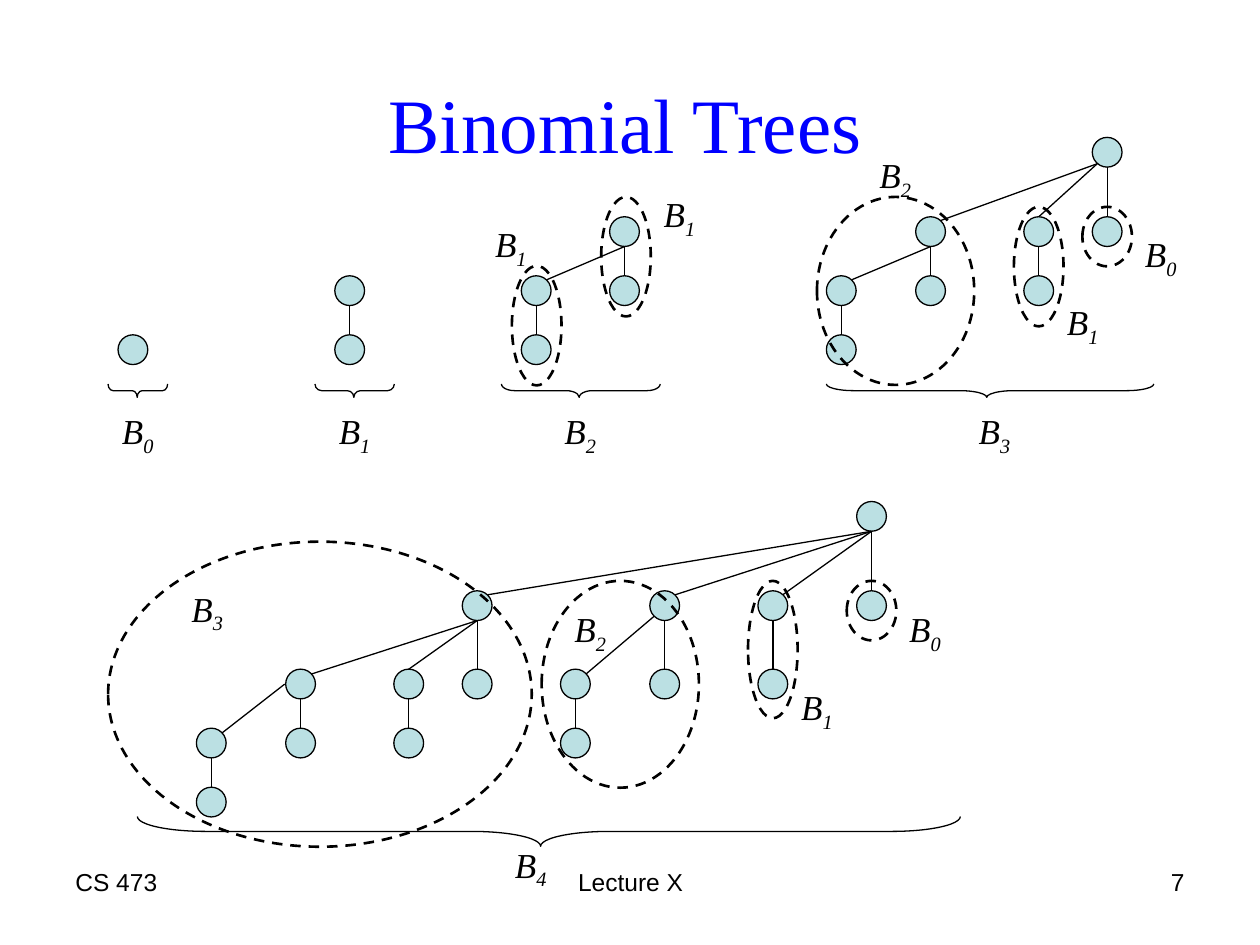
from typing import NamedTuple, Optional

from lxml.etree import SubElement
from pptx import Presentation
from pptx.dml.color import RGBColor
from pptx.enum.dml import MSO_LINE_DASH_STYLE as Dash
from pptx.enum.shapes import MSO_CONNECTOR as Connector, MSO_SHAPE as Shape
from pptx.enum.text import MSO_ANCHOR as Anchor, PP_ALIGN as Align
from pptx.oxml.ns import qn
from pptx.util import Cm, Pt

BLACK, BLUE, NODE_FILL = "000000", "0000FF", "BBE0E3"
SERIF, SANS = "Times New Roman", "Arial"
RADIUS = 0.3


# All lengths are in centimetres
class Column(NamedTuple):
    """A node, with the child straight below it if there is one."""
    x: float
    top: float
    bottom: Optional[float] = None


class Branch(NamedTuple):
    x1: float
    y1: float
    x2: float
    y2: float


class Subtree(NamedTuple):
    left: float
    top: float
    width: float
    height: float


class Brace(NamedTuple):
    left: float
    top: float
    width: float
    depth: float = 0.27


class Label(NamedTuple):
    order: int
    left: float
    top: float


class Footer(NamedTuple):
    text: str
    left: float
    width: float
    align: Align


FOOTERS = [
    Footer("CS 473", 1.27, 5.92, Align.LEFT),
    Footer("Lecture X", 8.69, 8.05, Align.CENTER),
    Footer("7", 18.21, 5.92, Align.RIGHT),
]
COLUMNS = [
    # B0, B1, B2
    Column(2.68, 7.05),
    Column(7.05, 5.86, 7.05),
    Column(10.81, 5.86, 7.05), Column(12.59, 4.67, 5.86),
    # B3
    Column(16.96, 5.86, 7.05), Column(18.76, 4.67, 5.86),
    Column(20.94, 4.67, 5.86), Column(22.32, 3.07, 4.67),
    # B4
    Column(4.26, 14.98, 16.17), Column(6.06, 13.79, 14.98),
    Column(8.24, 13.79, 14.98), Column(9.62, 12.21, 13.79),
    Column(11.6, 13.79, 14.98), Column(13.4, 12.21, 13.79),
    Column(15.58, 12.21, 13.79), Column(17.57, 10.41, 12.21),
]
BRANCHES = [
    # B2, B3
    Branch(11.02, 5.64, 12.59, 4.97),
    Branch(17.17, 5.64, 18.76, 4.97),
    Branch(18.95, 4.45, 22.12, 3.3),
    Branch(20.94, 4.37, 22.12, 3.3),
    # B4
    Branch(4.47, 14.78, 5.74, 13.79),
    Branch(6.27, 13.59, 9.62, 12.51),
    Branch(8.24, 13.49, 9.62, 12.51),
    Branch(11.81, 13.59, 13.19, 12.42),
    Branch(17.57, 10.71, 15.78, 11.99),
    Branch(17.57, 10.71, 13.61, 11.99),
    Branch(17.57, 10.71, 9.83, 11.99),
]
SUBTREES = [
    Subtree(12.12, 3.97, 1, 2.41), Subtree(10.32, 5.36, 1, 2.41),
    Subtree(16.47, 3.97, 3.17, 3.79), Subtree(20.44, 4.17, 1, 2.41),
    Subtree(21.82, 4.17, 1, 1.2),
    Subtree(2.18, 10.92, 8.54, 6.15), Subtree(10.92, 11.71, 3.17, 4.17),
    Subtree(15.08, 11.71, 1, 2.77), Subtree(17.07, 11.71, 1, 1.2),
]
BRACES = [
    Brace(2.18, 7.74, 1.2), Brace(6.35, 7.74, 1.6), Brace(10.11, 7.74, 3.2),
    Brace(16.66, 7.74, 6.6), Brace(2.77, 16.46, 16.59, 0.6),
]
LABELS = [
    # Names under the braces
    Label(0, 2.21, 8.13), Label(1, 6.58, 8.13), Label(2, 11.13, 8.13),
    Label(3, 19.48, 8.13), Label(4, 10.13, 16.87),
    # Names of the subtrees
    Label(1, 9.73, 4.37), Label(1, 13.13, 3.76),
    Label(2, 17.48, 2.97), Label(1, 21.26, 5.94), Label(0, 22.83, 4.57),
    Label(3, 3.61, 11.71), Label(2, 11.33, 12.12),
    Label(1, 15.9, 13.69), Label(0, 18.08, 12.12),
]


def color(hex_string: str) -> RGBColor:
    return RGBColor.from_string(hex_string)


def set_font(font, name: str, size: float, hex_string: str = BLACK) -> None:
    font.name, font.size = name, Pt(size)
    font.color.rgb = color(hex_string)


def add_outline(page, kind: Shape, left: float, top: float, width: float,
                height: float, weight: float = 0.75, fill: str = ""):
    shape = page.shapes.add_shape(kind, Cm(left), Cm(top), Cm(width), Cm(height))
    shape.shadow.inherit = False
    if fill:
        shape.fill.solid()
        shape.fill.fore_color.rgb = color(fill)
    else:
        shape.fill.background()
    shape.line.color.rgb = color(BLACK)
    shape.line.width = Pt(weight)
    return shape


def add_line(page, branch: Branch) -> None:
    line = page.shapes.add_connector(Connector.STRAIGHT, *map(Cm, branch))
    line.line.color.rgb = color(BLACK)
    line.line.width = Pt(0.75)
    SubElement(line._element.spPr, qn("a:effectLst"))


def add_column(page, column: Column) -> None:
    for y in column[1:]:
        if y is not None:
            add_outline(page, Shape.OVAL, column.x - RADIUS, y - RADIUS,
                        2 * RADIUS, 2 * RADIUS, fill=NODE_FILL)
    if column.bottom is not None:
        add_line(page, Branch(column.x, column.top + RADIUS,
                              column.x, column.bottom - RADIUS))


def add_subtree(page, subtree: Subtree) -> None:
    add_outline(page, Shape.OVAL, *subtree, weight=1.5).line.dash_style = Dash.DASH


def add_brace(page, brace: Brace) -> None:
    # An upright brace, turned about its centre to point down
    shift = (brace.width - brace.depth) / 2
    shape = add_outline(page, Shape.LEFT_BRACE, brace.left + shift,
                        brace.top - shift, brace.depth, brace.width)
    shape.rotation = 270
    shape.adjustments[0] = brace.width / brace.depth / 12
    shape.adjustments[1] = 0.49


def add_label(page, label: Label) -> None:
    box = page.shapes.add_textbox(Cm(label.left), Cm(label.top), Cm(1.14), Cm(1.22))
    box.text_frame.word_wrap = False
    para = box.text_frame.paragraphs[0]
    set_font(para.font, SERIF, 20)
    para.font.italic = True
    para.add_run().text = "B"
    span = para.add_run()
    span.text = str(label.order)
    span._r.get_or_add_rPr().set("baseline", "-25000")


def add_footer(page, footer: Footer) -> None:
    box = page.shapes.add_textbox(Cm(footer.left), Cm(17.35), Cm(footer.width), Cm(1.32))
    box.text_frame.word_wrap = True
    para = box.text_frame.paragraphs[0]
    para.text, para.alignment = footer.text, footer.align
    set_font(para.font, SANS, 14)


def add_title(page, text: str) -> None:
    title = page.shapes.title
    title.left, title.top, title.width, title.height = map(Cm, (1.19, 0.79, 22.83, 3.35))
    title.text_frame.vertical_anchor = Anchor.MIDDLE
    para = title.text_frame.paragraphs[0]
    para.text, para.alignment = text, Align.CENTER
    set_font(para.font, SERIF, 44, BLUE)


def main() -> None:
    deck = Presentation()
    deck.slide_width, deck.slide_height = Cm(25.4), Cm(19.05)
    page = deck.slides.add_slide(deck.slide_layouts[5])
    add_title(page, "Binomial Trees")
    for draw, items in ((add_footer, FOOTERS), (add_brace, BRACES),
                        (add_column, COLUMNS), (add_line, BRANCHES),
                        (add_subtree, SUBTREES), (add_label, LABELS)):
        for item in items:
            draw(page, item)
    deck.save("out.pptx")


if __name__ == "__main__":
    main()
